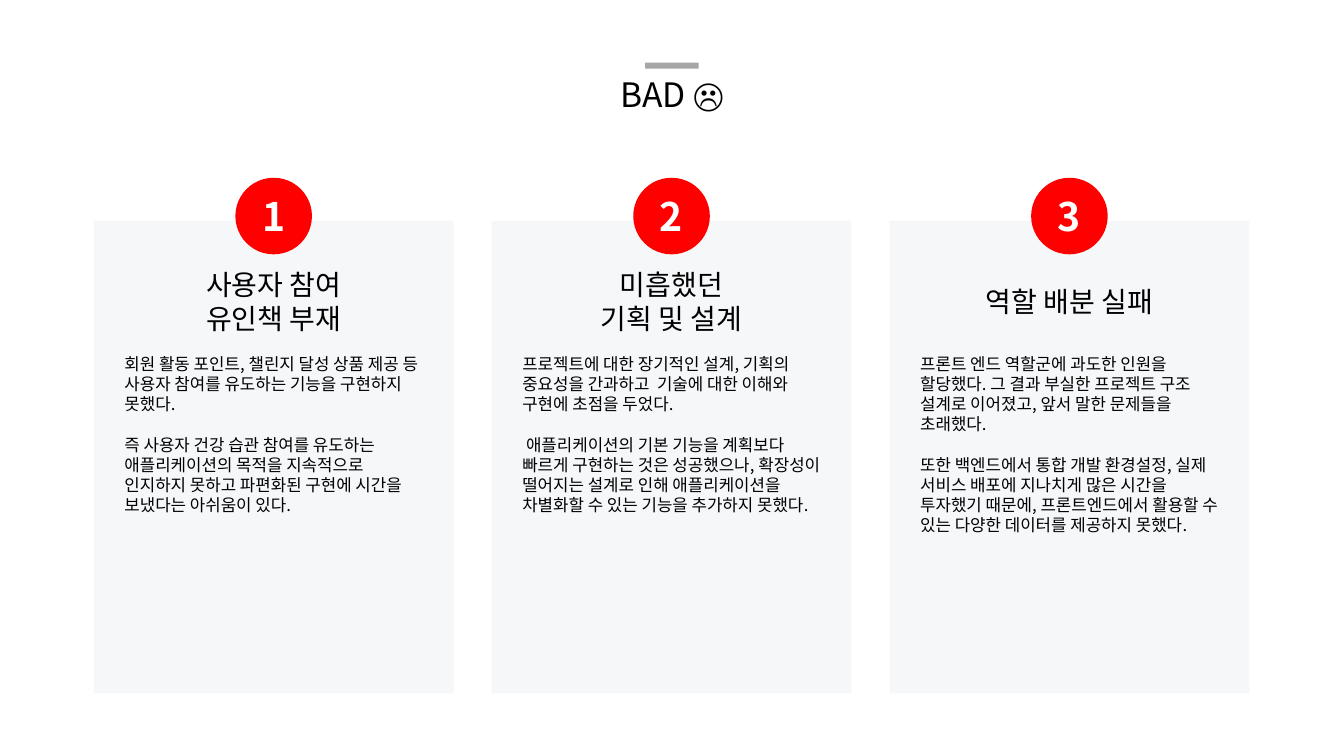
from pptx import Presentation
from pptx.dml.color import RGBColor
from pptx.enum.shapes import MSO_SHAPE
from pptx.enum.text import MSO_ANCHOR, PP_ALIGN
from pptx.oxml.ns import qn
from pptx.util import Pt

FONT = "Noto Sans CJK KR"
CARD_LEFT, CARD_TOP, CARD_W, CARD_H, CARD_STEP = 67, 157.7, 257, 337.7, 284.2
CARDS = [
    (["사용자 참여", "유인책 부재"],
     ["회원 활동 포인트, 챌린지 달성 상품 제공 등 사용자 참여를 유도하는 기능을 구현하지 못했다.",
      "즉 사용자 건강 습관 참여를 유도하는 애플리케이션의 목적을 지속적으로 인지하지 못하고 "
      "파편화된 구현에 시간을 보냈다는 아쉬움이 있다."]),
    (["미흡했던", "기획 및 설계"],
     ["프로젝트에 대한 장기적인 설계, 기획의 중요성을 간과하고  기술에 대한 이해와 구현에 초점을 두었다.",
      " 애플리케이션의 기본 기능을 계획보다 빠르게 구현하는 것은 성공했으나, 확장성이 떨어지는 "
      "설계로 인해 애플리케이션을 차별화할 수 있는 기능을 추가하지 못했다."]),
    (["역할 배분 실패"],
     ["프론트 엔드 역할군에 과도한 인원을 할당했다. 그 결과 부실한 프로젝트 구조 설계로 이어졌고, "
      "앞서 말한 문제들을 초래했다.",
      "또한 백엔드에서 통합 개발 환경설정, 실제 서비스 배포에 지나치게 많은 시간을 투자했기 때문에, "
      "프론트엔드에서 활용할 수 있는 다양한 데이터를 제공하지 못했다."]),
]


def rgb(value):
    return RGBColor.from_string(value)


def set_attrs(obj, values):
    for name, value in values.items():
        setattr(obj, name, value)


def add_run(p, text, size, color="000000", bold=False):
    r = p.add_run()
    r.text = text
    set_attrs(r.font, {"name": FONT, "size": Pt(size), "bold": bold})
    r.font.color.rgb = rgb(color)
    ea = r._r.get_or_add_rPr().makeelement(qn("a:ea"), {"typeface": FONT})
    r.font._element.find(qn("a:latin")).addnext(ea)


def add_block(slide, kind, fill, x, y, w, h):
    sp = slide.shapes.add_shape(kind, Pt(x), Pt(y), Pt(w), Pt(h))
    sp.shadow.inherit = False
    sp.fill.solid()
    sp.fill.fore_color.rgb = rgb(fill)
    sp.line.fill.background()
    return sp


def add_text(slide, lines, size, align, anchor, gap, x, y, w, h):
    """Add one paragraph per line, with gap points between them."""
    tf = slide.shapes.add_textbox(Pt(x), Pt(y), Pt(w), Pt(h)).text_frame
    set_attrs(tf, {"word_wrap": True, "vertical_anchor": anchor})
    for i, line in enumerate(lines):
        p = tf.paragraphs[0] if i == 0 else tf.add_paragraph()
        set_attrs(p, {"alignment": align, "line_spacing": Pt(size * 1.2),
                      "space_before": Pt(gap if i else 0)})
        add_run(p, line, size)


def add_header(slide, x, y, w, h):
    sp = slide.shapes.title
    set_attrs(sp, {"left": Pt(x), "top": Pt(y), "width": Pt(w), "height": Pt(h)})
    tf = sp.text_frame
    set_attrs(tf, {"word_wrap": True, "vertical_anchor": MSO_ANCHOR.MIDDLE})
    p = tf.paragraphs[0]
    set_attrs(p, {"alignment": PP_ALIGN.CENTER, "line_spacing": Pt(28.8)})
    add_run(p, "BAD ", 24)
    add_run(p, "☹", 24, bold=True)
    bar_w = 38.2
    add_block(slide, MSO_SHAPE.RECTANGLE, "A6A6A6", x + (w - bar_w) / 2, y - 4.3, bar_w, 4.3)


def add_badge(slide, number, x, y, size):
    sp = add_block(slide, MSO_SHAPE.OVAL, "FF0000", x, y, size, size)
    tf = sp.text_frame
    set_attrs(tf, {"margin_left": 0, "margin_right": 0, "margin_top": 0, "margin_bottom": 0,
                   "word_wrap": False, "vertical_anchor": MSO_ANCHOR.MIDDLE})
    p = tf.paragraphs[0]
    p.alignment = PP_ALIGN.CENTER
    add_run(p, str(number), 28, "FFFFFF", True)


def add_card(slide, number, heading, body, x, y, w, h):
    pad, badge = 14.8, 54.7
    add_block(slide, MSO_SHAPE.RECTANGLE, "F6F7F9", x, y, w, h)
    add_badge(slide, number, x + (w - badge) / 2, y - 30.7, badge)
    add_text(slide, heading, 20, PP_ALIGN.CENTER, MSO_ANCHOR.MIDDLE, 0,
             x + pad, y + 30, w - 2 * pad, 55.4)
    add_text(slide, body, 12, PP_ALIGN.LEFT, MSO_ANCHOR.TOP, 14.4,
             x + pad, y + 91.4, w - 2 * pad, 140)


def main():
    prs = Presentation()
    set_attrs(prs, {"slide_width": Pt(960), "slide_height": Pt(540)})
    slide = prs.slides.add_slide(prs.slide_layouts[5])
    add_header(slide, 185, 49, 590, 36)
    for i, (heading, body) in enumerate(CARDS):
        add_card(slide, i + 1, heading, body,
                 CARD_LEFT + i * CARD_STEP, CARD_TOP, CARD_W, CARD_H)
    prs.save("out.pptx")


if __name__ == "__main__":
    main()
